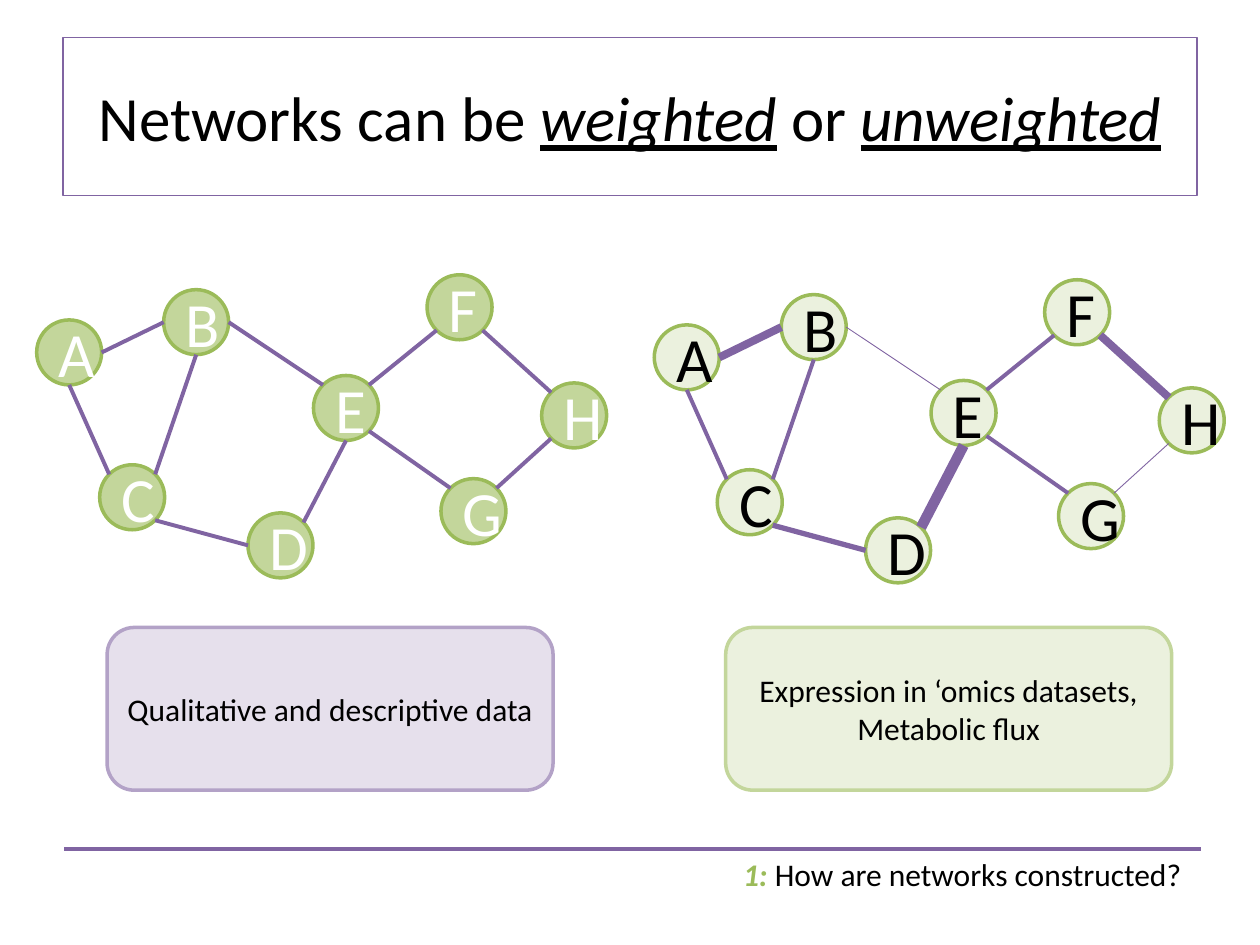
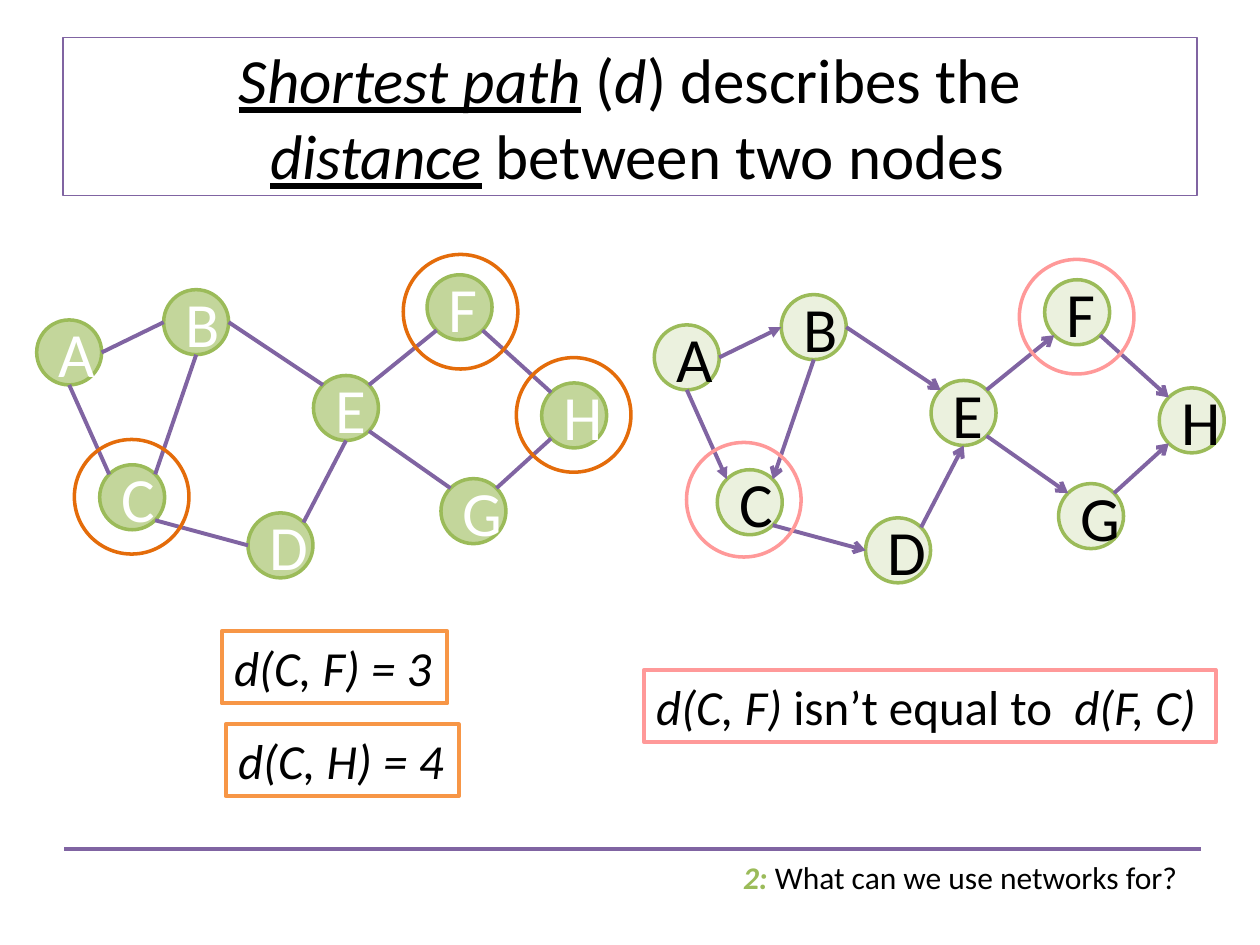
from math import cos, radians, sin

from lxml import etree
from pptx import Presentation
from pptx.dml.color import RGBColor
from pptx.enum.shapes import MSO_CONNECTOR, MSO_SHAPE
from pptx.enum.text import MSO_ANCHOR, MSO_AUTO_SIZE, PP_ALIGN
from pptx.oxml.ns import qn
from pptx.util import Cm, Pt

STRAIGHT = MSO_CONNECTOR.STRAIGHT
ELLIPSE = MSO_SHAPE.OVAL
RECTANGLE = MSO_SHAPE.RECTANGLE
ROUNDED = MSO_SHAPE.ROUNDED_RECTANGLE
MIDDLE = MSO_ANCHOR.MIDDLE
GROW = MSO_AUTO_SIZE.SHAPE_TO_FIT_TEXT
LEFT, CENTER = PP_ALIGN.LEFT, PP_ALIGN.CENTER

FONT = "Calibri"
COLORS = {
    "black": "000000",
    "white": "FFFFFF",
    "purple": "8064A2",
    "purple_mid": "B3A2C7",
    "purple_pale": "E6E0EC",
    "green": "9BBB59",
    "green_mid": "C3D69B",
    "green_pale": "EBF1DE",
    "orange": "F79646",
    "orange_dark": "E46C0A",
    "pink": "FF9999",
}

NODE_SIZE = 1.31
RING_SIZE = 2.31
EDGE_WIDTH = 2.25
NODES = {
    "A": (0.74, 6.45),
    "B": (3.3, 5.84),
    "C": (2.01, 9.37),
    "D": (5.0, 10.34),
    "E": (6.32, 7.57),
    "F": (8.61, 5.54),
    "G": (8.89, 9.65),
    "H": (10.92, 7.72),
}
ANGLES = {"e": 0, "se": 45, "s": 90, "sw": 135, "w": 180, "nw": 225, "n": 270, "ne": 315}
EDGES = {
    "AB": ("e", "w"),
    "AC": ("s", "nw"),
    "BC": ("s", "ne"),
    "BE": ("e", "nw"),
    "CD": ("se", "w"),
    "DE": ("ne", "s"),
    "EF": ("ne", "sw"),
    "EG": ("se", "nw"),
    "FH": ("se", "nw"),
    "GH": ("ne", "sw"),
}
WEIGHTS = {"AB": 4.5, "FH": 4.5, "DE": 6, "CD": 3, "BE": 0.5, "GH": 0.5}
ARROWS = {name: "triangle" if name in ("AB", "AC") else "arrow" for name in EDGES}
LEFT_NETWORK = {"offset": (0, 0), "fill": "green_mid", "color": "white"}
RIGHT_NETWORK = {"offset": (12.45, 0.1), "fill": "green_pale", "color": "black"}


def rgb(name):
    return RGBColor.from_string(COLORS[name])


def write(frame, *paragraphs, size=18, color="black", align=CENTER):
    """Each paragraph is a string or a list of (text, marks, color) runs."""
    for index, content in enumerate(paragraphs):
        paragraph = frame.paragraphs[0] if index == 0 else frame.add_paragraph()
        paragraph.alignment = align
        runs = [(content,)] if isinstance(content, str) else content
        for text, *style in runs:
            marks = style[0] if style else ""
            for line_number, line in enumerate(text.split("\n")):
                if line_number:
                    paragraph.add_line_break()
                run = paragraph.add_run()
                run.text = line
                run.font.name = FONT
                run.font.size = Pt(size)
                run.font.bold = "b" in marks
                run.font.italic = "i" in marks
                run.font.underline = "u" in marks
                run.font.color.rgb = rgb(style[1] if len(style) > 1 else color)


class Deck:
    def __init__(self):
        self.presentation = Presentation()
        self.presentation.slide_width = Cm(25.4)
        self.presentation.slide_height = Cm(19.05)
        self.slide = None

    def new_slide(self, title, number, section, footer_top):
        layout = self.presentation.slide_layouts[6]
        self.slide = self.presentation.slides.add_slide(layout)
        self.line((1.3, 17.12), (24.21, 17.12))
        self.shape(RECTANGLE, (1.27, 0.76, 22.86, 3.18), title,
                   line="purple", width=0.75, size=36)
        footer = [(f"{number}:", "bi", "green"), (f" {section}",)]
        self.label((14.73, footer_top, 9.4, 1.02), footer, size=18)

    def shape(self, kind, box, *paragraphs, fill=None, line="green", width=2,
              parent=None, **text_format):
        shapes = (parent or self.slide).shapes
        shape = shapes.add_shape(kind, *map(Cm, box))
        shape.shadow.inherit = False
        if fill:
            shape.fill.solid()
            shape.fill.fore_color.rgb = rgb(fill)
        else:
            shape.fill.background()
        shape.line.color.rgb = rgb(line)
        shape.line.width = Pt(width)
        shape.text_frame.vertical_anchor = MIDDLE
        write(shape.text_frame, *paragraphs, **text_format)

    def label(self, box, content, line=None, size=28):
        shape = self.slide.shapes.add_textbox(*map(Cm, box))
        shape.text_frame.word_wrap = False
        shape.text_frame.auto_size = GROW
        if line:
            shape.line.color.rgb = rgb(line)
            shape.line.width = Pt(2.25)
        write(shape.text_frame, content, size=size, align=LEFT)

    def line(self, start, end, width=EDGE_WIDTH, arrow=None, parent=None):
        shapes = (parent or self.slide).shapes
        connector = shapes.add_connector(STRAIGHT, *map(Cm, (*start, *end)))
        connector.line.color.rgb = rgb("purple")
        connector.line.width = Pt(width)
        properties = connector._element.spPr
        if arrow:
            outline = properties.find(qn("a:ln"))
            etree.SubElement(outline, qn("a:tailEnd"), type=arrow)
        etree.SubElement(properties, qn("a:effectLst"))

    def network(self, offset, fill, color, weights=None, arrows=None):
        group = self.slide.shapes.add_group_shape()
        places = {name: (x + offset[0], y + offset[1]) for name, (x, y) in NODES.items()}
        for name, place in places.items():
            self.shape(ELLIPSE, (*place, NODE_SIZE, NODE_SIZE), name, fill=fill,
                       parent=group, size=36, color=color)

        def anchor(node, side):
            angle = radians(ANGLES[side])
            x, y = places[node]
            radius = NODE_SIZE / 2
            return x + radius * (1 + cos(angle)), y + radius * (1 + sin(angle))

        for name, sides in EDGES.items():
            start, end = map(anchor, name, sides)
            self.line(start, end, width=(weights or {}).get(name, EDGE_WIDTH),
                      arrow=(arrows or {}).get(name), parent=group)

    def card(self, left, *paragraphs, fill, line):
        self.shape(ROUNDED, (left, 12.65, 8.99, 3.28), *paragraphs, fill=fill, line=line)

    def rings(self, places, color):
        for place in places:
            self.shape(ELLIPSE, (*place, RING_SIZE, RING_SIZE), line=color)


def build_weights(deck):
    title = [("Networks can be ",), ("weighted", "iu"), (" or ",), ("unweighted", "iu")]
    deck.new_slide(title, 1, "How are networks constructed?", 17.12)
    deck.network(**RIGHT_NETWORK, weights=WEIGHTS)
    deck.network(**LEFT_NETWORK)
    deck.card(14.63, "Expression in ‘omics datasets,", "Metabolic flux",
              fill="green_pale", line="green_mid")
    deck.card(2.16, "Qualitative and descriptive data",
              fill="purple_pale", line="purple_mid")


def build_shortest_path(deck):
    title = [("Shortest path", "iu"), (" (",), ("d", "i"), (") describes the\n ",),
             ("distance", "iu"), (" between two nodes",)]
    deck.new_slide(title, 2, "What can we use networks for?", 17.17)
    deck.network(**LEFT_NETWORK)
    deck.network(**RIGHT_NETWORK, arrows=ARROWS)
    deck.rings([(8.13, 5.13), (1.5, 8.86), (10.41, 7.21)], "orange_dark")
    deck.rings([(20.55, 5.23), (13.84, 8.92)], "pink")
    deck.label((4.47, 12.73, 4.55, 1.45), [("d(C, F) = 3", "i")], line="orange")
    deck.label((4.55, 14.6, 4.7, 1.45), [("d(C, H) = 4", "i")], line="orange")
    inequality = [("d(C, F) ", "i"), ("isn’t equal to ",), (" d(F, C)", "i")]
    deck.label((12.98, 13.51, 11.53, 1.45), inequality, line="pink")


def main():
    deck = Deck()
    build_weights(deck)
    build_shortest_path(deck)
    deck.presentation.save("out.pptx")


if __name__ == "__main__":
    main()
